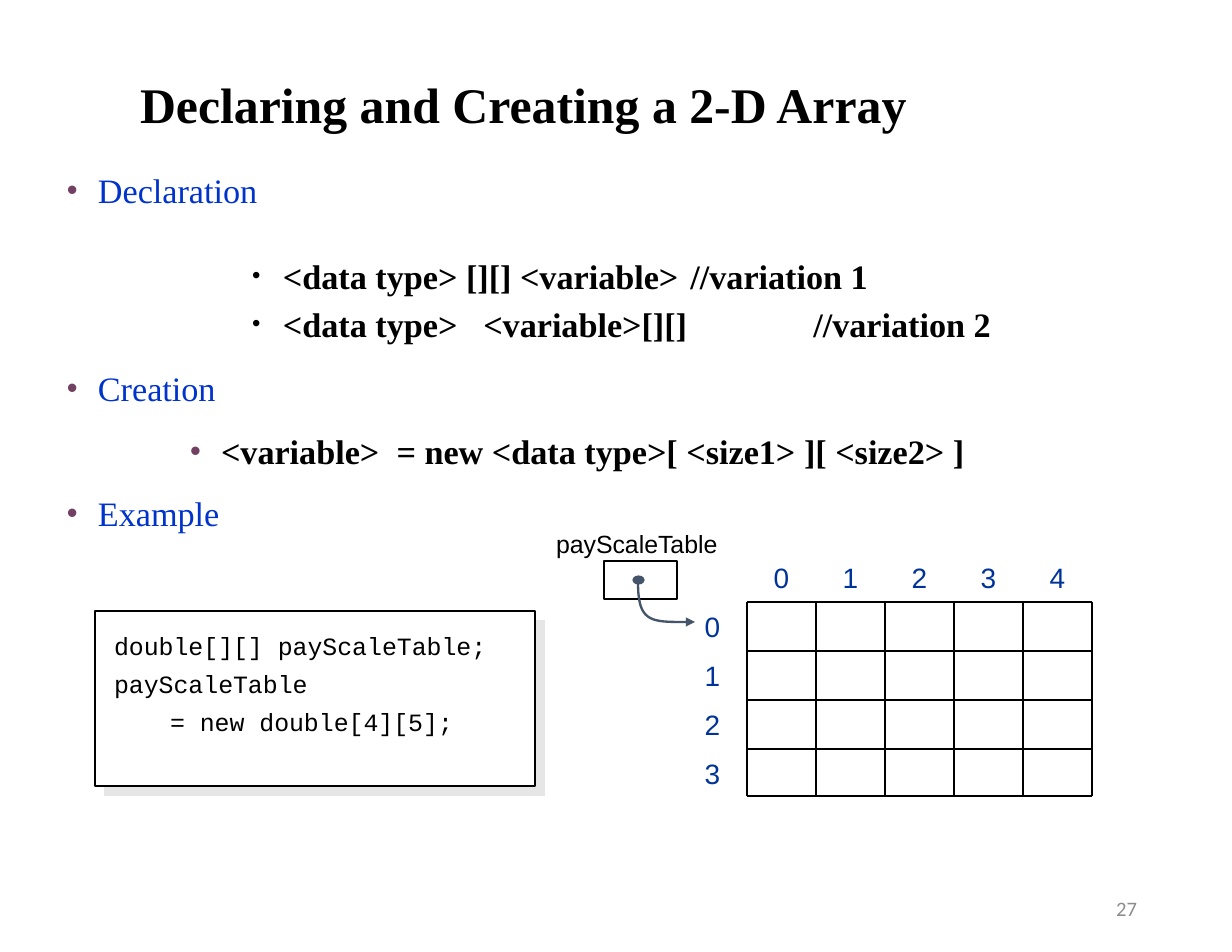
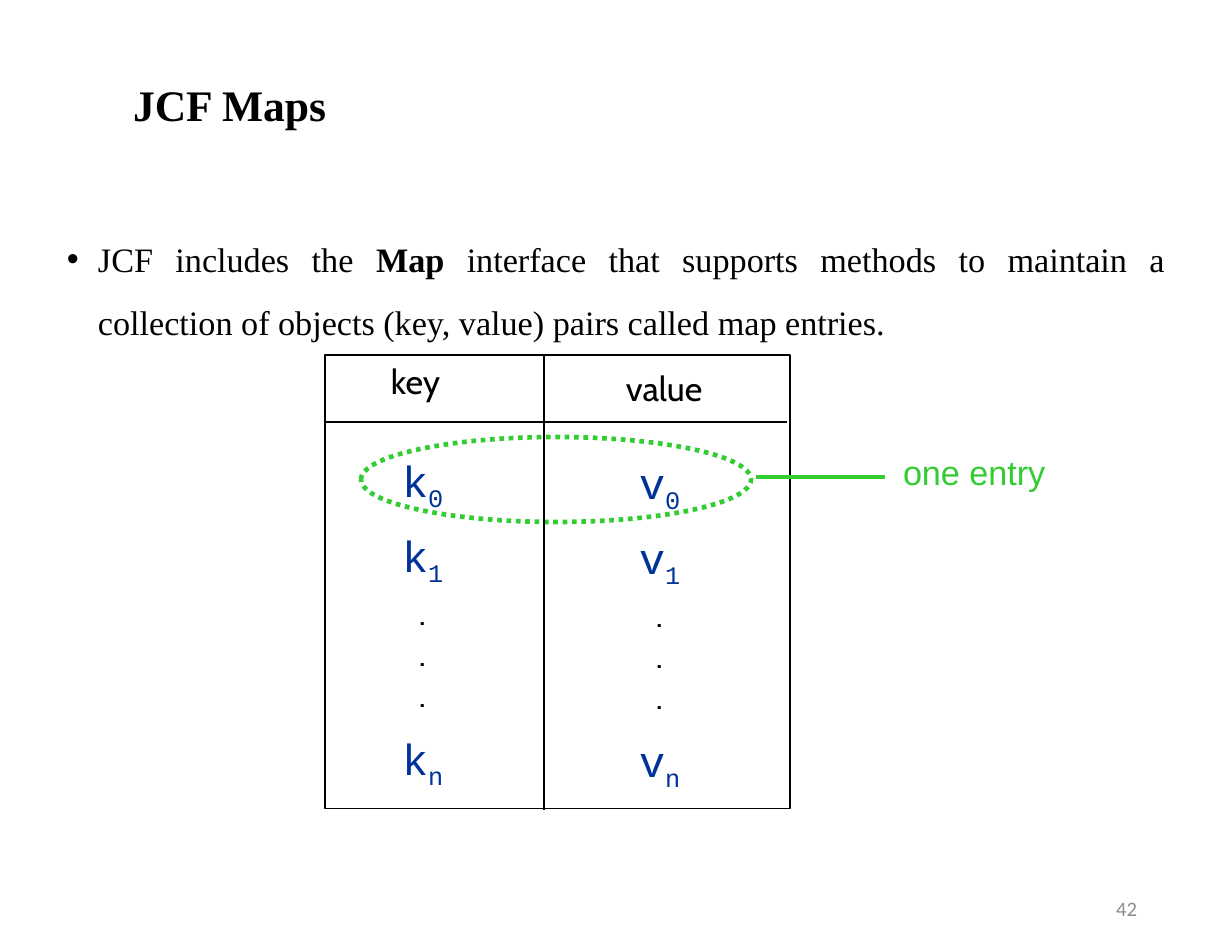
from lxml import etree
from pptx import Presentation
from pptx.dml.color import RGBColor
from pptx.enum.dml import MSO_LINE
from pptx.enum.shapes import MSO_CONNECTOR, MSO_SHAPE
from pptx.enum.text import MSO_ANCHOR, PP_ALIGN
from pptx.oxml.ns import qn
from pptx.util import Pt

PX = 914400 / 112
LEFT, CENTER, RIGHT, JUSTIFY = (
    PP_ALIGN.LEFT, PP_ALIGN.CENTER, PP_ALIGN.RIGHT, PP_ALIGN.JUSTIFY)
TOP, MIDDLE = MSO_ANCHOR.TOP, MSO_ANCHOR.MIDDLE
RECTANGLE, OVAL = MSO_SHAPE.RECTANGLE, MSO_SHAPE.OVAL
STRAIGHT, DOTTED = MSO_CONNECTOR.STRAIGHT, MSO_LINE.ROUND_DOT

BLACK = RGBColor(0, 0, 0)
WHITE = RGBColor(255, 255, 255)
HEADING_BLUE = RGBColor(0x00, 0x33, 0xCC)
LABEL_BLUE = RGBColor(0x00, 0x33, 0x99)
PLUM = RGBColor(0x72, 0x40, 0x63)
SLATE = RGBColor(0x44, 0x54, 0x6A)
GREEN = RGBColor(0x33, 0xCC, 0x33)
GRAY = RGBColor(0x8C, 0x8C, 0x8C)
SHADOW_GRAY = RGBColor(0xE7, 0xE6, 0xE6)

SERIF, SANS, MONO, HAND, FOOTER = (
    "Times New Roman", "Arial", "Courier New", "Cabin", "Calibri")


def add_text(page, paras, x, y, w, h, font=SERIF, size=22, color=BLACK,
             bold=False, align=LEFT, anchor=TOP, wrap=True, line=1.0, before=0):
    """Add a text box; a paragraph is a string or a list of (text, run format)."""
    box = page.shapes.add_textbox(*(round(n * PX) for n in (x, y, w, h)))
    frame = box.text_frame
    frame.word_wrap = wrap
    frame.vertical_anchor = anchor
    for index, content in enumerate(paras):
        para = frame.paragraphs[0] if index == 0 else frame.add_paragraph()
        para.alignment = align
        para.line_spacing = line
        para.space_before = Pt(before if index else 0)
        runs = [(content, {})] if isinstance(content, str) else content
        for text, extra in runs:
            span = para.add_run()
            span.text = text
            span.font.name = font
            span.font.size = Pt(size)
            span.font.bold = extra.get("bold", bold)
            span.font.color.rgb = color
            for name in ("baseline", "spc"):
                if name in extra:
                    span._r.get_or_add_rPr().set(name, str(extra[name]))
    return box


def add_line(page, x1, y1, x2, y2, color=BLACK, width=1.0):
    """Add a straight line without a shadow."""
    line = page.shapes.add_connector(
        STRAIGHT, *(round(n * PX) for n in (x1, y1, x2, y2)))
    line.line.color.rgb = color
    line.line.width = Pt(width)
    etree.SubElement(line._element.spPr, qn("a:effectLst"))


deck = Presentation()
deck.slide_width = round(1232 * PX)
deck.slide_height = round(952 * PX)

# Both pages: title and page number
pages = []
for title, x, y, size, number in [
    ("Declaring and Creating a 2-D Array", 129, 75, 32, "27"),
    ("JCF Maps", 122, 78, 28, "42"),
]:
    page = deck.slides.add_slide(deck.slide_layouts[6])
    add_text(page, [title], x, y, 1000, 81, size=size, bold=True, line=0.9)
    add_text(page, [number], 870, 883, 278, 50, font=FOOTER, size=13.2,
             color=GRAY, align=RIGHT, anchor=MIDDLE)
    pages.append(page)
array_page, map_page = pages

# Bulleted outlines: (para, indent, bullet size, bullet colour)
outline = [
    ("Declaration", 31, 90, 0),
    ("<data type> [][] <variable>\t //variation 1", 216, 70, 28.5),
    ([("<data type>", {}), (" ", {"spc": 1100}),
      ("<variable>[][]\t //variation 2", {})], 216, 70, 4.5),
    ("Creation", 31, 90, 15),
    ([("<variable>", {}), (" ", {"spc": 550}),
      ("= new <data type>[ <size1> ][ <size2> ]", {})], 154, 90, 14),
    ("Example", 31, 90, 13.5),
]
outline_box = add_text(array_page, [item[0] for item in outline],
                       56, 164, 1120, 370, bold=True)
bulleted = []
for para, (_, indent, bullet_size, gap) in zip(
        outline_box.text_frame.paragraphs, outline):
    para.space_before = Pt(gap)
    if indent == 31:
        for span in para.runs:
            span.font.bold = False
            span.font.color.rgb = HEADING_BLUE
    bulleted.append((para, indent, bullet_size,
                     BLACK if bullet_size == 70 else PLUM))

map_text = [
    ("JCF includes the ", {}),
    ("Map", {"bold": True}),
    (" interface that supports methods to maintain a collection of objects "
     "(key, value) pairs called map entries.", {}),
]
map_box = add_text(map_page, [map_text], 56, 210, 1120, 140,
                   align=JUSTIFY, line=1.55)
bulleted.append((map_box.text_frame.paragraphs[0], 31, 100, BLACK))

for para, indent, bullet_size, color in bulleted:
    props = para._p.get_or_add_pPr()
    props.set("marL", str(round(indent * PX)))
    props.set("indent", str(round(-31 * PX)))
    props.set("defTabSz", str(round(123 * PX)))
    bullet_color = etree.SubElement(props, qn("a:buClr"))
    etree.SubElement(bullet_color, qn("a:srgbClr"), val=str(color))
    etree.SubElement(props, qn("a:buSzPct"), val=str(bullet_size * 1000))
    etree.SubElement(props, qn("a:buFont"), typeface=SANS)
    etree.SubElement(props, qn("a:buChar"), char="•")

# Outlined shapes: code panel, reference cell and dot, map frame, entry ring
shapes = []
for page, kind, x, y, w, h, fill, color, width in [
    (array_page, RECTANGLE, 95, 611, 440, 175, WHITE, BLACK, 0.75),
    (array_page, RECTANGLE, 604, 561, 73, 38, None, BLACK, 1.5),
    (array_page, OVAL, 633, 576, 11, 8, SLATE, SLATE, 0.75),
    (map_page, RECTANGLE, 325, 355, 465, 454, None, BLACK, 0.75),
    (map_page, OVAL, 361, 437, 390, 85, None, GREEN, 3),
]:
    shape = page.shapes.add_shape(kind, *(round(n * PX) for n in (x, y, w, h)))
    shape.shadow.inherit = False
    if fill is None:
        shape.fill.background()
    else:
        shape.fill.solid()
        shape.fill.fore_color.rgb = fill
    shape.line.color.rgb = color
    shape.line.width = Pt(width)
    shapes.append(shape)
code_panel, entry_ring = shapes[0], shapes[-1]
entry_ring.line.dash_style = DOTTED

# Code panel shadow and code
effects = code_panel._element.spPr.find(qn("a:effectLst"))
shadow = etree.SubElement(effects, qn("a:outerShdw"), dist=str(Pt(8.5)),
                          dir="2700000", algn="ctr", rotWithShape="0")
etree.SubElement(shadow, qn("a:srgbClr"), val=str(SHADOW_GRAY))
code_box = add_text(
    array_page,
    ["double[][] payScaleTable;", "payScaleTable", "= new double[4][5];"],
    103, 625, 414, 115, font=MONO, size=16, before=5.3)
code_box.text_frame.paragraphs[2]._p.get_or_add_pPr().set(
    "marL", str(round(56 * PX)))

# Array grid with its column and row numbers
GRID_X, GRID_Y, CELL_W, CELL_H = 747, 602, 69, 49
GRID_RIGHT, GRID_BOTTOM = GRID_X + 5 * CELL_W, 796
for column in range(6):
    x = GRID_X + column * CELL_W
    add_line(array_page, x, GRID_Y, x, GRID_BOTTOM)
for row in range(5):
    y = min(GRID_Y + row * CELL_H, GRID_BOTTOM)
    add_line(array_page, GRID_X, y, GRID_RIGHT, y)
indices = [(c, GRID_X + c * CELL_W, GRID_Y - CELL_H) for c in range(5)]
indices += [(r, GRID_X - CELL_W, GRID_Y + r * CELL_H) for r in range(4)]
for index, x, y in indices:
    add_text(array_page, [str(index)], x, y, CELL_W, CELL_H, font=SANS, size=18,
             color=LABEL_BLUE, align=CENTER, anchor=MIDDLE)

# Reference name and curved arrow, sampled along one cubic curve
add_text(array_page, ["payScaleTable"], 545, 523, 190, 41, font=SANS, size=16)
controls = [(638, 582), (638, 625), (652, 622), (695, 622)]
STEPS = 20
curve = []
for step in range(STEPS + 1):
    t = step / STEPS
    weights = ((1 - t) ** 3, 3 * t * (1 - t) ** 2, 3 * t * t * (1 - t), t ** 3)
    curve.append([round(PX * sum(k * point[axis]
                                 for k, point in zip(weights, controls)))
                  for axis in (0, 1)])
builder = array_page.shapes.build_freeform(*curve[0])
builder.add_line_segments(curve[1:], close=False)
arrow = builder.convert_to_shape()
arrow.shadow.inherit = False
arrow.fill.background()
arrow.line.color.rgb = SLATE
arrow.line.width = Pt(1.5)
etree.SubElement(arrow.line._get_or_add_ln(), qn("a:tailEnd"), type="triangle")

# Map rules and columns
add_line(map_page, 326, 422, 787, 422, width=0.75)
add_line(map_page, 544, 355, 544, 810, width=0.75)
for heading, heading_x, heading_y, letter, x, y in [
    ("key", 380, 355, "k", 391, 448),
    ("value", 615, 362, "v", 628, 450),
]:
    add_text(map_page, [heading], heading_x, heading_y, 106, 53,
             font=HAND, wrap=False)
    for subscript, offset in [("0", 0), ("1", 75), ("n", 278)]:
        add_text(map_page, [[(letter, {}), (subscript, {"baseline": -25000})]],
                 x, y + offset, 66, 64, font=MONO, size=28, color=LABEL_BLUE,
                 wrap=False)
    add_text(map_page, ["."] * 3, x + 17, y + 138, 36, 136,
             font=HAND, wrap=False)

# Entry callout
add_line(map_page, 756, 477, 885, 477, color=GREEN, width=2.25)
add_text(map_page, ["one entry"], 892, 446, 167, 53, font=SANS, color=GREEN,
         wrap=False)

deck.save("out.pptx")
